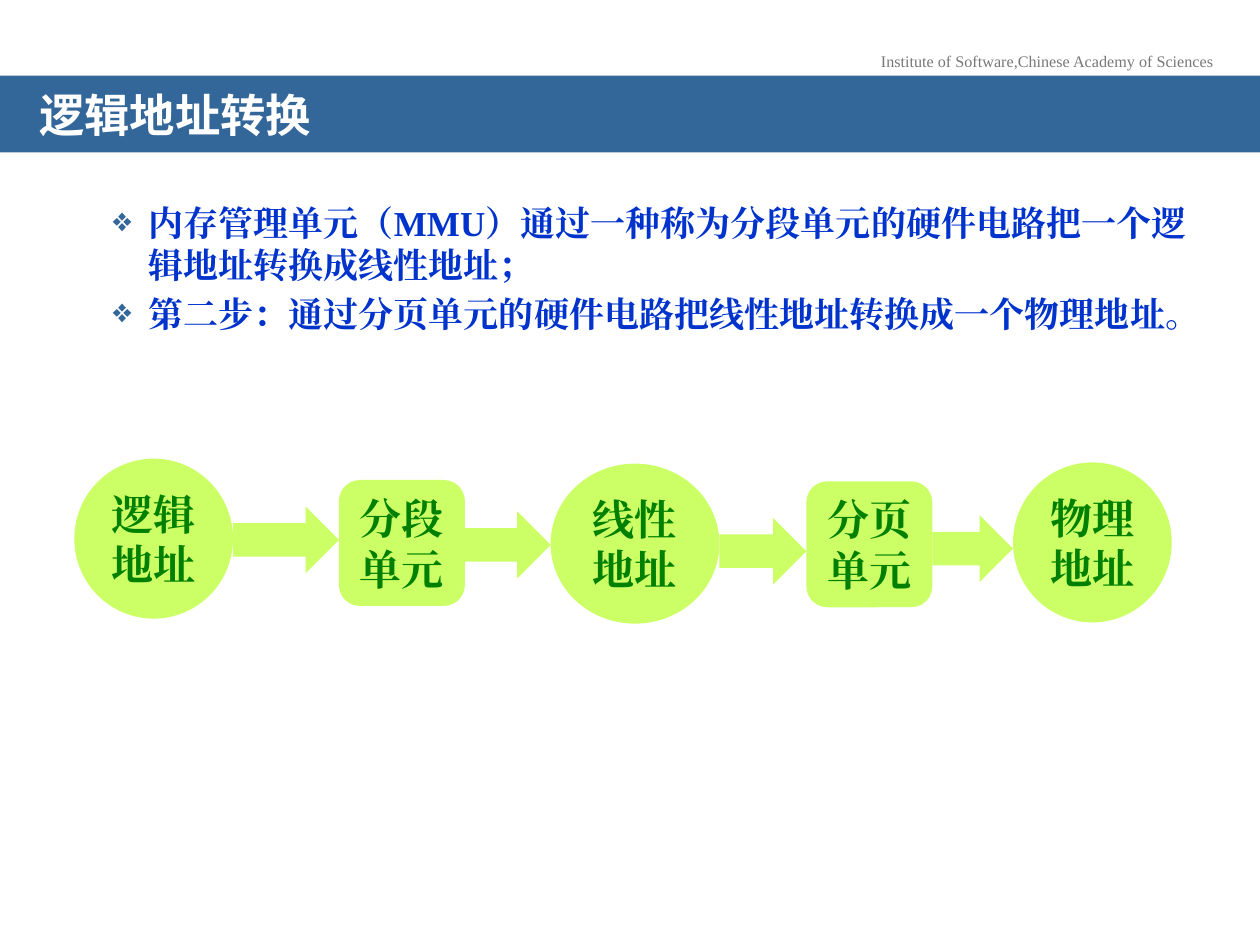
from dataclasses import dataclass

from lxml import etree
from pptx import Presentation
from pptx.dml.color import RGBColor
from pptx.enum import shapes, text
from pptx.oxml.ns import qn
from pptx.util import Inches, Pt

SERIF = "Times New Roman"
SANS = "Noto Sans CJK SC"
BLUE, LIME, GREEN = "336699", "CCFF66", "008000"
OVAL = shapes.MSO_SHAPE.OVAL
BOX = shapes.MSO_SHAPE.ROUNDED_RECTANGLE
ARROW = shapes.MSO_SHAPE.RIGHT_ARROW
ARROW_HEIGHT = 0.53


@dataclass
class Stage:
    label: str
    kind: shapes.MSO_SHAPE
    left: float
    top: float
    width: float
    height: float


STAGES = [
    Stage("逻辑地址", OVAL, 0.59, 3.64, 1.26, 1.27),
    Stage("分段单元", BOX, 2.69, 3.81, 1, 1),
    Stage("线性地址", OVAL, 4.37, 3.68, 1.34, 1.27),
    Stage("分页单元", BOX, 6.4, 3.82, 1, 1),
    Stage("物理地址", OVAL, 8.04, 3.67, 1.26, 1.27),
]
ARROW_TOPS = [4.02, 4.06, 4.11, 4.09]
POINTS = [
    "内存管理单元（MMU）通过一种称为分段单元的硬件电路把一个逻辑地址转换成线性地址；",
    "第二步：通过分页单元的硬件电路把线性地址转换成一个物理地址。",
]


def color(value: str) -> RGBColor:
    return RGBColor.from_string(value)


def style(paragraph, size: float, fill: str, face: str = SERIF, bold: bool = True) -> None:
    for run in paragraph.runs:
        run.font.size = Pt(size)
        run.font.bold = bold
        run.font.name = face
        run.font.color.rgb = color(fill)
        east_asian = etree.SubElement(run.font._element, qn("a:ea"))
        east_asian.set("typeface", face)


def add_bullet(paragraph) -> None:
    properties = paragraph._p.get_or_add_pPr()
    properties.set("marL", str(Inches(0.75)))
    properties.set("indent", str(Inches(-0.29)))
    tint = etree.SubElement(properties, qn("a:buClr"))
    etree.SubElement(tint, qn("a:srgbClr")).set("val", BLUE)
    etree.SubElement(properties, qn("a:buSzPct")).set("val", "75000")
    etree.SubElement(properties, qn("a:buFont")).set("typeface", SERIF)
    etree.SubElement(properties, qn("a:buChar")).set("char", "❖")


def add_flow_shape(group, kind, left: float, top: float, width: float, height: float):
    shape = group.shapes.add_shape(
        kind, Inches(left), Inches(top), Inches(width), Inches(height))
    shape.shadow.inherit = False
    shape.fill.solid()
    shape.fill.fore_color.rgb = color(LIME)
    shape.line.fill.background()
    return shape


def add_stage(group, stage: Stage) -> None:
    shape = add_flow_shape(
        group, stage.kind, stage.left, stage.top, stage.width, stage.height)
    frame = shape.text_frame
    frame.word_wrap = True
    frame.text = stage.label
    frame.paragraphs[0].alignment = text.PP_ALIGN.CENTER
    style(frame.paragraphs[0], 24, GREEN)


def add_title(slide) -> None:
    title = slide.shapes.title
    title.left, title.top = Inches(0), Inches(0.6)
    title.width, title.height = Inches(10), Inches(0.61)
    title.fill.solid()
    title.fill.fore_color.rgb = color(BLUE)
    frame = title.text_frame
    frame.text = "逻辑地址转换"
    frame.auto_size = text.MSO_AUTO_SIZE.NONE
    frame.vertical_anchor = text.MSO_ANCHOR.MIDDLE
    frame.margin_left = frame.margin_right = Inches(0.31)
    frame.margin_top, frame.margin_bottom = Inches(0.16), Inches(0.05)
    heading = frame.paragraphs[0]
    heading.alignment = text.PP_ALIGN.LEFT
    heading.line_spacing = 0.7
    style(heading, 25.9, "FFFFFF", SANS)


def add_institute(slide) -> None:
    box = slide.shapes.add_textbox(Inches(6.87), Inches(0.36), Inches(2.88), Inches(0.26))
    box.text_frame.word_wrap = False
    box.text_frame.text = "Institute of Software,Chinese Academy of Sciences"
    institute = box.text_frame.paragraphs[0]
    institute.alignment = text.PP_ALIGN.CENTER
    style(institute, 9.2, "777777", bold=False)


def add_points(slide) -> None:
    box = slide.shapes.add_textbox(Inches(0.33), Inches(1.55), Inches(9.34), Inches(5.04))
    frame = box.text_frame
    frame.word_wrap = True
    frame.text = "\n".join(POINTS)
    for index, point in enumerate(frame.paragraphs):
        if index:
            point.space_before = Pt(4)
        add_bullet(point)
        style(point, 20, "0033CC")


def add_flow(slide) -> None:
    group = slide.shapes.add_group_shape()
    for stage in STAGES:
        add_stage(group, stage)
    for source, target, top in zip(STAGES, STAGES[1:], ARROW_TOPS):
        start = source.left + source.width
        add_flow_shape(group, ARROW, start, top, target.left - start, ARROW_HEIGHT)


def main() -> None:
    deck = Presentation()
    deck.slide_width, deck.slide_height = Inches(10), Inches(7.5)
    slide = deck.slides.add_slide(deck.slide_layouts[5])
    add_institute(slide)
    add_title(slide)
    add_points(slide)
    add_flow(slide)
    deck.save("out.pptx")


if __name__ == "__main__":
    main()
